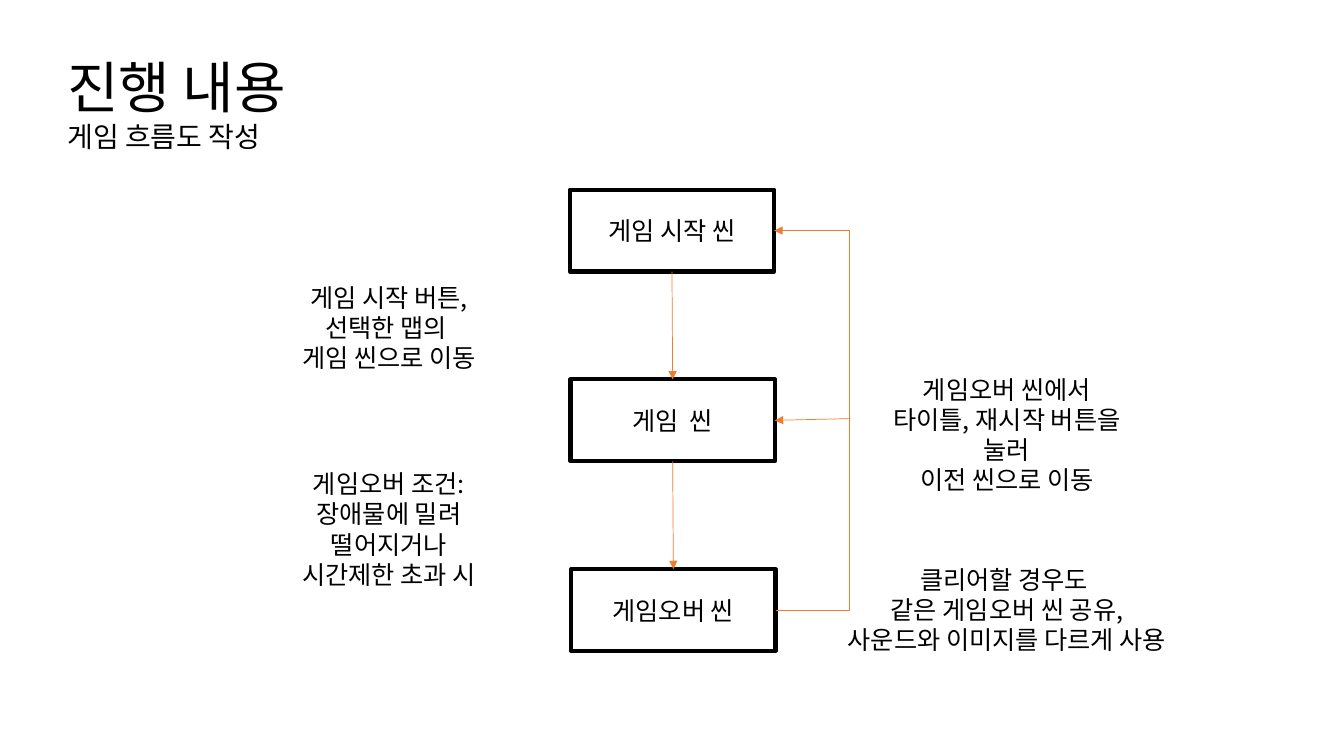
from typing import NamedTuple

from lxml import etree
from pptx import Presentation
from pptx.dml.color import RGBColor
from pptx.enum.shapes import MSO_CONNECTOR, MSO_SHAPE
from pptx.enum.text import MSO_ANCHOR, PP_ALIGN
from pptx.oxml.ns import qn
from pptx.util import Pt

RECT = MSO_SHAPE.RECTANGLE
LINE, ELBOW = MSO_CONNECTOR.STRAIGHT, MSO_CONNECTOR.ELBOW
LEFT, CENTER = PP_ALIGN.LEFT, PP_ALIGN.CENTER
TOP, MIDDLE = MSO_ANCHOR.TOP, MSO_ANCHOR.MIDDLE
FONT = "Noto Sans CJK KR"
BLACK, WHITE, ORANGE = "000000", "FFFFFF", "ED7D31"
STEP, WIDE, HIGH = 135.5, 146, 58.5


class Note(NamedTuple):
    left: float
    top: float
    width: float
    height: float
    paras: list[str]  # "\n" is a line break inside a paragraph
    sizes: list[float] = [18, 18, 18]
    align: PP_ALIGN = CENTER


NOTES = [
    Note(41, 34, 250, 80, ["진행 내용", "게임 흐름도 작성"], [40, 20], LEFT),
    Note(205, 198, 145.5, 72.5,
         ["게임 시작 버튼,", "선택한 맵의 ", "게임 씬으로 이동"]),
    Note(176.5, 331, 202.5, 72.5,
         ["게임오버 조건:", "장애물에 밀려 떨어지거나\n시간제한 초과 시"]),
    Note(615.5, 263.5, 207.5, 72.5,
         ["게임오버 씬에서\n타이틀, 재시작 버튼을 눌러", "이전 씬으로 이동"]),
    Note(595.5, 399.5, 247.5, 72.5,
         ["클리어할 경우도 ", "같은 게임오버 씬 공유,", "사운드와 이미지를 다르게 사용"]),
]
SCENES = ["게임 시작 씬", "게임  씬", "게임오버 씬"]


def color(code: str) -> RGBColor:
    return RGBColor.from_string(code)


def write(frame, paras: list[str], sizes: list[float], align, anchor) -> None:
    frame.word_wrap = True
    frame.vertical_anchor = anchor
    for i, (text, size) in enumerate(zip(paras, sizes)):
        para = frame.add_paragraph() if i else frame.paragraphs[0]
        para.alignment = align
        for j, part in enumerate(text.split("\n")):
            if j:
                para.add_line_break()
            run = para.add_run()
            run.text = part
            run.font.name = FONT
            run.font.size = Pt(size)
            run.font.color.rgb = color(BLACK)


def add_note(slide, note: Note) -> None:
    box = slide.shapes.add_textbox(*map(Pt, note[:4]))
    write(box.text_frame, note.paras, note.sizes, note.align, TOP)


def add_scene(slide, row: int, name: str):
    box = slide.shapes.add_shape(RECT, Pt(407 + row / 2), Pt(STEP * (row + 1)),
                                 Pt(WIDE), Pt(HIGH))
    box.shadow.inherit = False
    box.fill.solid()
    box.fill.fore_color.rgb = color(WHITE)
    box.line.color.rgb = color(BLACK)
    box.line.width = Pt(3)
    write(box.text_frame, [name], [18], CENTER, MIDDLE)
    return box


def add_arrow(slide, kind, x: float = 0, y: float = 0):
    arrow = slide.shapes.add_connector(kind, Pt(x), Pt(y), Pt(x), Pt(y))
    arrow.line.color.rgb = color(ORANGE)
    arrow.line.width = Pt(0.5)
    etree.SubElement(arrow.line._get_or_add_ln(), qn("a:tailEnd"), type="triangle")
    etree.SubElement(arrow._element.spPr, qn("a:effectLst"))
    return arrow


def main() -> None:
    deck = Presentation()
    deck.slide_width, deck.slide_height = Pt(960), Pt(540)
    slide = deck.slides.add_slide(deck.slide_layouts[6])

    # Title and notes
    for note in NOTES:
        add_note(slide, note)

    # Scene boxes, joined from top to bottom
    boxes = [add_scene(slide, row, name) for row, name in enumerate(SCENES)]
    for upper, lower in zip(boxes, boxes[1:]):
        arrow = add_arrow(slide, LINE)
        arrow.begin_connect(upper, 2)
        arrow.end_connect(lower, 0)

    # Way back from the last scene to the first
    back = add_arrow(slide, ELBOW)
    back.begin_connect(boxes[2], 3)
    back.end_connect(boxes[0], 3)
    bend = back._element.spPr.find(qn("a:prstGeom")).find(qn("a:avLst"))
    etree.SubElement(bend, qn("a:gd"), name="adj1", fmla="val -5300000")

    # Branch into the middle scene
    branch = add_arrow(slide, LINE, 607.5, 299)
    branch.end_connect(boxes[1], 3)

    deck.save("out.pptx")


if __name__ == "__main__":
    main()
